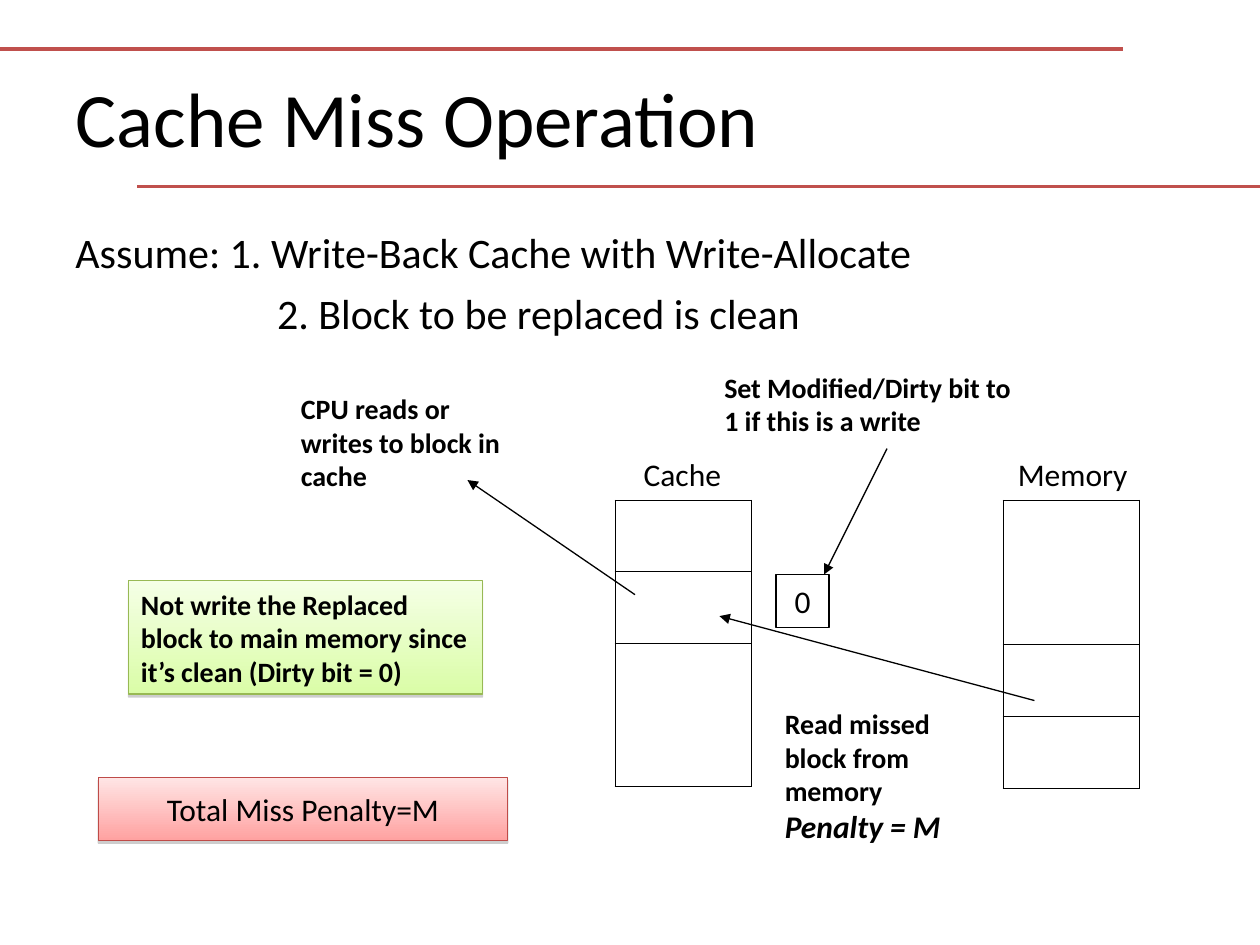
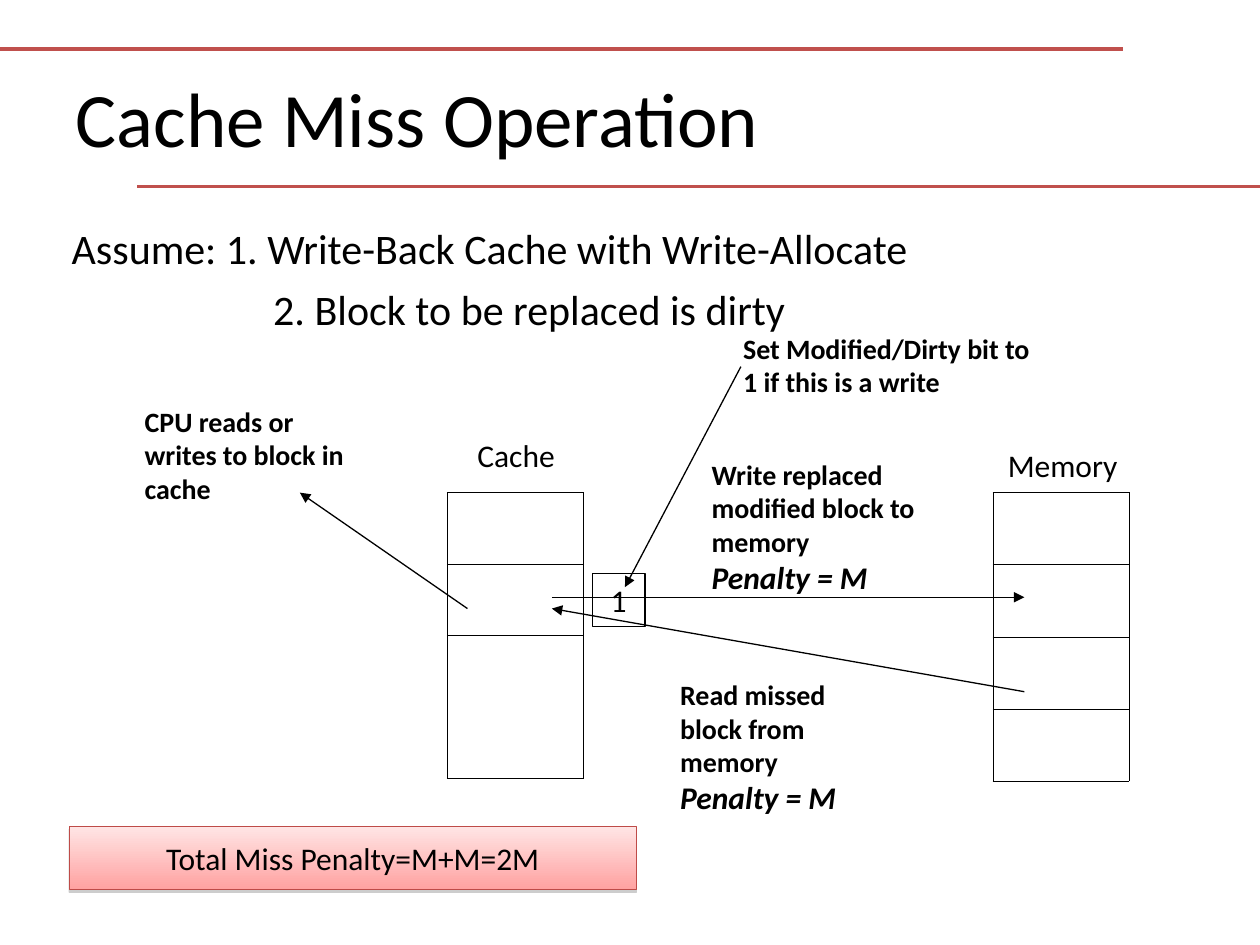
"""Build two slides that explain the cost of a cache miss."""
from dataclasses import dataclass

from lxml.etree import SubElement
from pptx import Presentation
from pptx.dml.color import RGBColor
from pptx.enum.shapes import MSO_CONNECTOR, MSO_SHAPE
from pptx.enum.text import MSO_ANCHOR, MSO_AUTO_SIZE, PP_ALIGN
from pptx.oxml.ns import qn
from pptx.util import Inches, Pt

FONT = "Calibri"
TITLE_ONLY = 5
COLORS = {
    "text": "000000",
    "rule": "C0504D",
    "red_top": "FFE5E5",
    "red_bottom": "FFA2A1",
    "red_line": "BE4B48",
    "green_top": "F5FFE6",
    "green_bottom": "DAFDA7",
    "green_line": "98B954",
    "shadow": "808080",
}


@dataclass(frozen=True)
class Line:
    text: str
    size: int = 16
    bold: bool = True
    italic: bool = False
    indent: float = 0
    space_before: float = 0
    align: PP_ALIGN = PP_ALIGN.LEFT


@dataclass(frozen=True)
class Note:
    left: float
    top: float
    width: float
    height: float
    lines: tuple[Line, ...]
    wrap: bool = True


@dataclass(frozen=True)
class Panel:
    note: Note
    hue: str


@dataclass(frozen=True)
class Store:
    left: float
    top: float
    height: float
    joined_rows: tuple[int, ...] = ()


@dataclass(frozen=True)
class Arrow:
    start: tuple[float, float]
    end: tuple[float, float]


@dataclass(frozen=True)
class MissCase:
    notes: tuple[Note, ...]
    panels: tuple[Panel, ...]
    stores: tuple[Store, ...]
    arrows: tuple[Arrow, ...]
    dirty_bit: Note


def color(name: str) -> RGBColor:
    """Look up a named colour."""
    return RGBColor.from_string(COLORS[name])


def assumption(left: float, top: float, state: str) -> Note:
    """Describe the two assumptions."""
    return Note(left, top, 7.39, 0.98, (
        Line("Assume: 1. Write-Back Cache with Write-Allocate", 24, False, space_before=6),
        Line(f"2. Block to be replaced is {state}", 24, False, indent=1.6, space_before=6),
    ))


def label(left: float, top: float, width: float, text: str) -> Note:
    """Describe the name above a store."""
    return Note(left, top, width, 0.4, (Line(text, 18, False),), wrap=False)


def cpu_note(left: float, top: float) -> Note:
    """Describe the note on the access by the processor."""
    return Note(left, top, 1.93, 0.9, (Line("CPU reads or writes to block in cache"),))


def dirty_note(left: float, top: float) -> Note:
    """Describe the note on setting the dirty bit."""
    return Note(left, top, 2.5, 0.64, (Line("Set Modified/Dirty bit to 1 if this is a write"),))


def transfer_note(left: float, top: float, width: float, text: str) -> Note:
    """Describe a block transfer and its penalty."""
    return Note(left, top, width, 1.2, (Line(text), Line("Penalty = M", 18, italic=True)))


def total_panel(left: float, top: float, width: float, total: str) -> Panel:
    """Describe the red panel with the total penalty."""
    line = Line(f"Total Miss Penalty={total}", 18, False, space_before=4.5, align=PP_ALIGN.CENTER)
    return Panel(Note(left, top, width, 0.5, (line,), wrap=False), "red")


def dirty_bit(left: float, top: float, value: str) -> Note:
    """Describe the square that holds the dirty bit."""
    line = Line(value, 18, False, align=PP_ALIGN.CENTER)
    return Note(left, top, 0.42, 0.42, (line,), wrap=False)


READ_MISSED = "Read missed block from memory"
CASES = (
    MissCase(
        notes=(
            assumption(0.5, 1.75, "clean"),
            label(5.01, 3.56, 0.88, "Cache"),
            label(7.98, 3.56, 1.1, "Memory"),
            cpu_note(2.29, 3.06),
            transfer_note(6.13, 5.56, 1.75, READ_MISSED),
            dirty_note(5.65, 2.89),
        ),
        panels=(
            total_panel(0.78, 6.17, 3.25, "M"),
            Panel(Note(1.02, 4.61, 2.81, 0.9, (Line(
                "Not write the Replaced block to main memory since it’s clean (Dirty bit = 0)"
            ),)), "green"),
        ),
        stores=(Store(4.88, 3.97, 2.27, (2, 3)), Store(7.96, 3.97, 2.29, (0, 1))),
        arrows=(
            Arrow((8.21, 5.56), (5.71, 4.89)),
            Arrow((5.04, 4.72), (3.71, 3.81)),
            Arrow((7.04, 3.56), (6.54, 4.56)),
        ),
        dirty_bit=dirty_bit(6.16, 4.56, "0"),
    ),
    MissCase(
        notes=(
            assumption(0.47, 1.72, "dirty"),
            label(3.69, 3.41, 0.88, "Cache"),
            label(7.9, 3.49, 1.1, "Memory"),
            cpu_note(1.05, 3.16),
            transfer_note(5.3, 5.33, 1.75, READ_MISSED),
            dirty_note(5.8, 2.58),
            transfer_note(5.55, 3.58, 1.92, "Write replaced modified block to memory"),
        ),
        panels=(total_panel(0.55, 6.56, 4.5, "M+M=2M"),),
        stores=(Store(3.55, 3.91, 2.27, (2, 3)), Store(7.88, 3.91, 2.29)),
        arrows=(
            Arrow((8.13, 5.49), (4.38, 4.83)),
            Arrow((3.71, 4.83), (2.38, 3.91)),
            Arrow((5.88, 2.91), (4.96, 4.66)),
            Arrow((4.38, 4.74), (8.13, 4.74)),
        ),
        dirty_bit=dirty_bit(4.7, 4.55, "1"),
    ),
)


def write_lines(frame, lines: tuple[Line, ...]) -> None:
    """Fill a text frame with formatted lines."""
    for index, line in enumerate(lines):
        para = frame.paragraphs[0] if index == 0 else frame.add_paragraph()
        para.alignment = line.align
        para.space_before = Pt(line.space_before)
        if line.indent:
            para._p.get_or_add_pPr().set("marL", str(Inches(line.indent)))
        span = para.add_run()
        span.text = line.text
        span.font.name = FONT
        span.font.size = Pt(line.size)
        span.font.bold = line.bold
        span.font.italic = line.italic
        span.font.color.rgb = color("text")


def bounds(note: Note) -> tuple:
    """Give the position and size of a note."""
    return Inches(note.left), Inches(note.top), Inches(note.width), Inches(note.height)


def draw_note(page, note: Note) -> None:
    """Draw a plain text box."""
    frame = page.shapes.add_textbox(*bounds(note)).text_frame
    frame.word_wrap = note.wrap
    write_lines(frame, note.lines)


def draw_box(page, note: Note, line_color: str):
    """Draw an outlined rectangle with its text."""
    box = page.shapes.add_shape(MSO_SHAPE.RECTANGLE, *bounds(note))
    box.shadow.inherit = False
    box.fill.background()
    box.line.color.rgb = color(line_color)
    box.line.width = Pt(0.75)
    box.text_frame.word_wrap = note.wrap
    box.text_frame.vertical_anchor = MSO_ANCHOR.MIDDLE
    write_lines(box.text_frame, note.lines)
    return box


def draw_panel(page, panel: Panel) -> None:
    """Draw a panel with a gradient and a shadow."""
    box = draw_box(page, panel.note, f"{panel.hue}_line")
    box.fill.gradient()
    box.fill.gradient_angle = 270
    for stop, end in zip(box.fill.gradient_stops, ("top", "bottom")):
        stop.color.rgb = color(f"{panel.hue}_{end}")
    effects = box.element.spPr.find(qn("a:effectLst"))
    shadow = SubElement(effects, qn("a:outerShdw"), blurRad="0", dist=str(Pt(1.6)),
                        dir="5400000", rotWithShape="0")
    tone = SubElement(shadow, qn("a:srgbClr"), val=COLORS["shadow"])
    SubElement(tone, qn("a:alpha"), val="38000")


def draw_line(page, line: Arrow, line_color: str, width: float, arrowhead: bool) -> None:
    """Draw a straight line, with an arrowhead at its end if asked."""
    connector = page.shapes.add_connector(
        MSO_CONNECTOR.STRAIGHT, *(Inches(value) for value in line.start + line.end))
    connector.line.color.rgb = color(line_color)
    connector.line.width = Pt(width)
    properties = connector.element.spPr
    if arrowhead:
        SubElement(properties.find(qn("a:ln")), qn("a:tailEnd"), type="triangle")
    SubElement(properties, qn("a:effectLst"))


def draw_store(page, store: Store) -> None:
    """Draw a store as a column of four blocks."""
    rows = 4
    table = page.shapes.add_table(rows, 1, Inches(store.left), Inches(store.top),
                                  Inches(1.08), Inches(store.height)).table
    table.first_row = False
    table.horz_banding = False
    for index in range(rows):
        table.rows[index].height = Inches(store.height / rows)
        cell = table.cell(index, 0)
        properties = cell._tc.get_or_add_tcPr()
        hidden = {"T": index in store.joined_rows[1:], "B": index in store.joined_rows[:1]}
        for side in "LRTB":
            edge = SubElement(properties, qn(f"a:ln{side}"), w=str(Pt(0.45)))
            if hidden.get(side):
                SubElement(edge, qn("a:noFill"))
            else:
                fill = SubElement(edge, qn("a:solidFill"))
                SubElement(fill, qn("a:srgbClr"), val=COLORS["text"])
        cell.fill.background()


def draw_header(page) -> None:
    """Draw the two rules and the title."""
    draw_line(page, Arrow((0, 0.39), (8.91, 0.39)), "rule", 2, False)
    draw_line(page, Arrow((1.09, 1.48), (10, 1.48)), "rule", 2, False)
    title = page.shapes.title
    title.left, title.top = Inches(0.5), Inches(0.3)
    title.width, title.height = Inches(9), Inches(1.25)
    title.text_frame.auto_size = MSO_AUTO_SIZE.NONE
    title.text_frame.vertical_anchor = MSO_ANCHOR.MIDDLE
    write_lines(title.text_frame, (Line("Cache Miss Operation", 44, False),))


def draw_case(deck, case: MissCase) -> None:
    """Add the slide for one kind of miss."""
    page = deck.slides.add_slide(deck.slide_layouts[TITLE_ONLY])
    draw_header(page)
    for panel in case.panels:
        draw_panel(page, panel)
    for store in case.stores:
        draw_store(page, store)
    for note in case.notes:
        draw_note(page, note)
    draw_box(page, case.dirty_bit, "text")
    for arrow in case.arrows:
        draw_line(page, arrow, "text", 0.75, True)


def main() -> None:
    """Build and save the deck."""
    deck = Presentation()
    deck.slide_width, deck.slide_height = Inches(10), Inches(7.5)
    for case in CASES:
        draw_case(deck, case)
    deck.save("out.pptx")


if __name__ == "__main__":
    main()
